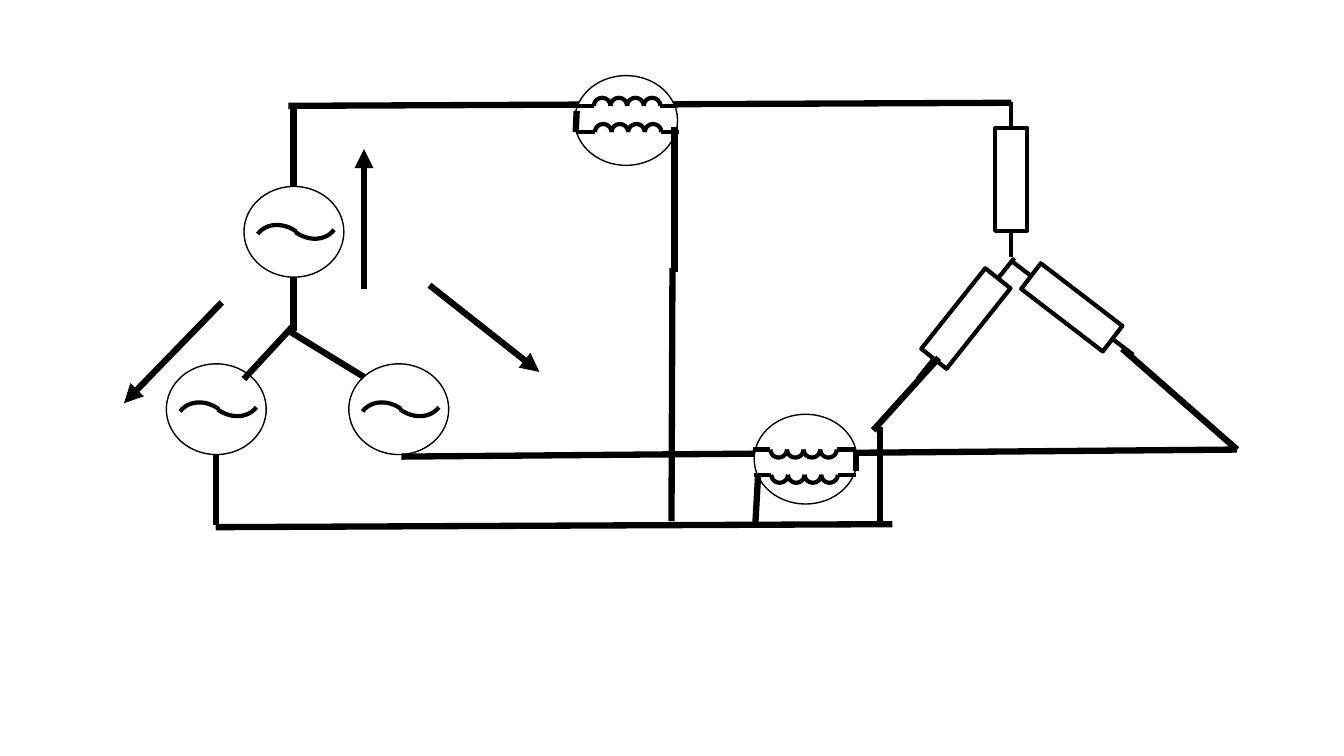
"""Three-phase star circuit: sources, wattmeter coils and load resistors."""
import math
import pptx
import pptx.dml.color
import pptx.enum.shapes
import pptx.oxml
import pptx.oxml.ns
import pptx.util

PX = 9144
BLACK = pptx.dml.color.RGBColor(0, 0, 0)
WHITE = pptx.dml.color.RGBColor(255, 255, 255)
MSO = pptx.enum.shapes.MSO_SHAPE
NS = pptx.oxml.ns.nsdecls("a")
WIRE, THIN, HAIR = 4.5, 3, 0.5
HUMP = [(0, 0), (0, 4.4), (3.7, 8), (8.25, 8), (12.8, 8), (16.5, 4.4), (16.5, 0)]


def add_line(shapes, x1, y1, x2, y2, width):
    """Add a plain black straight connector."""
    c = shapes.add_connector(pptx.enum.shapes.MSO_CONNECTOR.STRAIGHT,
                             x1 * PX, y1 * PX, x2 * PX, y2 * PX)
    c.line.color.rgb = BLACK
    c.line.width = pptx.util.Pt(width)
    c._element.spPr.append(pptx.oxml.parse_xml(f"<a:effectLst {NS}/>"))
    return c


def style(sp, width, fill=None):
    """Give a shape a black outline and an optional fill."""
    sp.shadow.inherit = False
    sp.line.color.rgb = BLACK
    sp.line.width = pptx.util.Pt(width)
    if fill is None:
        sp.fill.background()
    else:
        sp.fill.solid()
        sp.fill.fore_color.rgb = fill
    return sp


prs = pptx.Presentation()
prs.slide_width, prs.slide_height = 1333 * PX, 750 * PX
s = prs.slides.add_slide(prs.slide_layouts[6])

for x, y in [(242, 185), (165, 361), (346, 361)]:
    source = s.shapes.add_group_shape().shapes
    style(source.add_shape(MSO.OVAL, x * PX, y * PX, 99 * PX, 90 * PX), 1, WHITE)
    for dx, dy, angle in [(13, 35, 306), (41, -4, 126.4)]:
        arc = source.add_shape(MSO.ARC, (x + dx) * PX, (y + dy) * PX, 49 * PX, 59 * PX)
        style(arc, THIN).rotation = angle

for ends in [
    (291, 275, 291, 328), (291, 323, 242, 376), (361, 374, 286, 328),
    (291, 185, 291, 104), (286, 105, 1003, 102), (214, 523, 885, 520),
    (214, 451, 214, 521), (398, 453, 1227, 446), (866, 427, 931, 355),
    (1113, 346, 1227, 446), (873, 424, 873, 523),
]:
    add_line(s.shapes, *ends, WIRE)

for cx, cy, angle in [(1003, 178, 0), (958, 316, 38.5), (1063, 305, 127.5)]:
    load = s.shapes.add_group_shape().shapes
    resistor = load.add_shape(MSO.RECTANGLE, (cx - 16) * PX, (cy - 51) * PX, 32 * PX, 102 * PX)
    style(resistor, THIN).rotation = angle
    ux, uy = math.sin(math.radians(angle)), -math.cos(math.radians(angle))
    for side, site in [(1, 0), (-1, 2)]:
        near, far = [(round(cx + side * d * ux), round(cy + side * d * uy)) for d in (51, 77)]
        lead = add_line(load, *near, *far, THIN)
        if angle == 0:
            lead.begin_connect(resistor, site)

for ends in [(361, 287, 361, 148), (426, 283, 535, 369), (220, 300, 123, 400)]:
    arrow = add_line(s.shapes, *ends, WIRE)
    arrow.line._ln.append(pptx.oxml.parse_xml(f'<a:tailEnd {NS} type="triangle"/>'))

for x, y, turn, coils, dot, link in [
    (570, 75, 1, [(589, 105), (590, 131)], (570, 120), (572, 110, 571, 131)),
    (748, 411, -1, [(831, 471), (830, 446)], (850, 456), (849, 467, 849, 446)),
]:
    meter = s.shapes.add_group_shape().shapes
    style(meter.add_shape(MSO.OVAL, x * PX, y * PX, 102 * PX, 89 * PX), 1, WHITE)
    for coil_x, coil_y in coils:
        for i in range(4):
            points = [((coil_x + turn * (16.5 * i + dx)) * PX, (coil_y - turn * dy) * PX)
                      for dx, dy in HUMP]
            builder = meter.build_freeform(*points[0])
            builder.add_line_segments(points[1:], close=False)
            loop = style(builder.convert_to_shape(), THIN)
            steps = list(loop._element.iter(pptx.oxml.ns.qn("a:lnTo")))
            for k in (0, 3):
                curve = pptx.oxml.parse_xml(f"<a:cubicBezTo {NS}/>")
                steps[k].addprevious(curve)
                for step in steps[k:k + 3]:
                    curve.append(step[0])
                    step.getparent().remove(step)
        for start, end in [(0, -18), (66, 83)]:
            add_line(meter, coil_x + turn * start, coil_y, coil_x + turn * end, coil_y, THIN)
    add_line(meter, *dot, *dot, HAIR)
    add_line(meter, *link, WIRE)

for ends in [(669, 126, 669, 270), (667, 266, 666, 517), (749, 523, 752, 470)]:
    add_line(s.shapes, *ends, WIRE)

prs.save("out.pptx")
